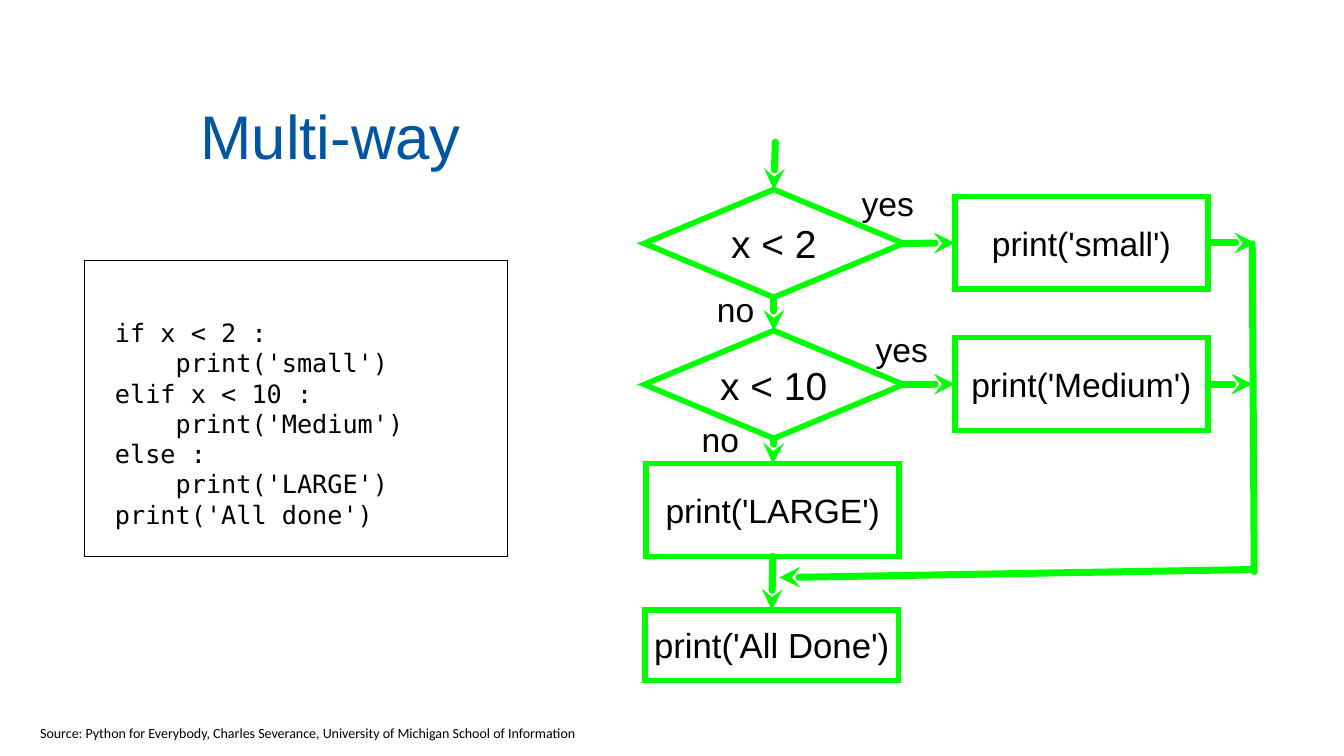
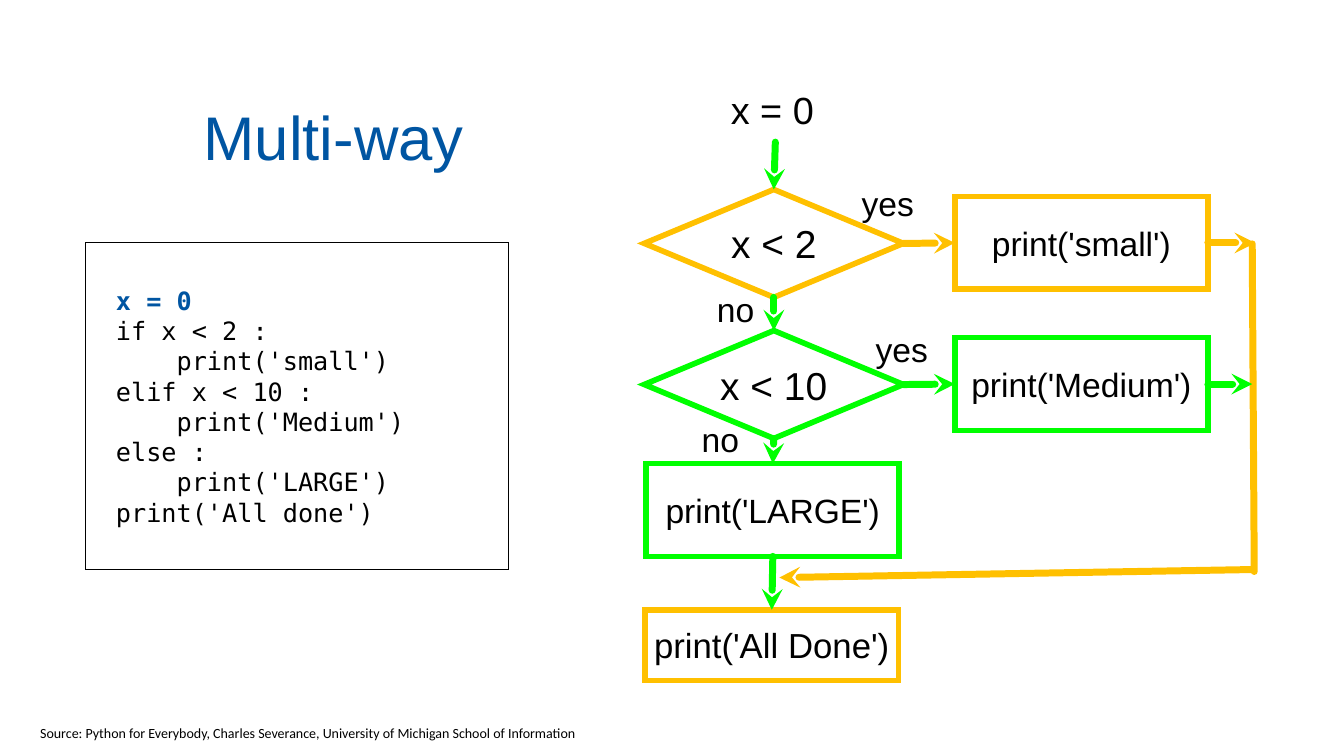
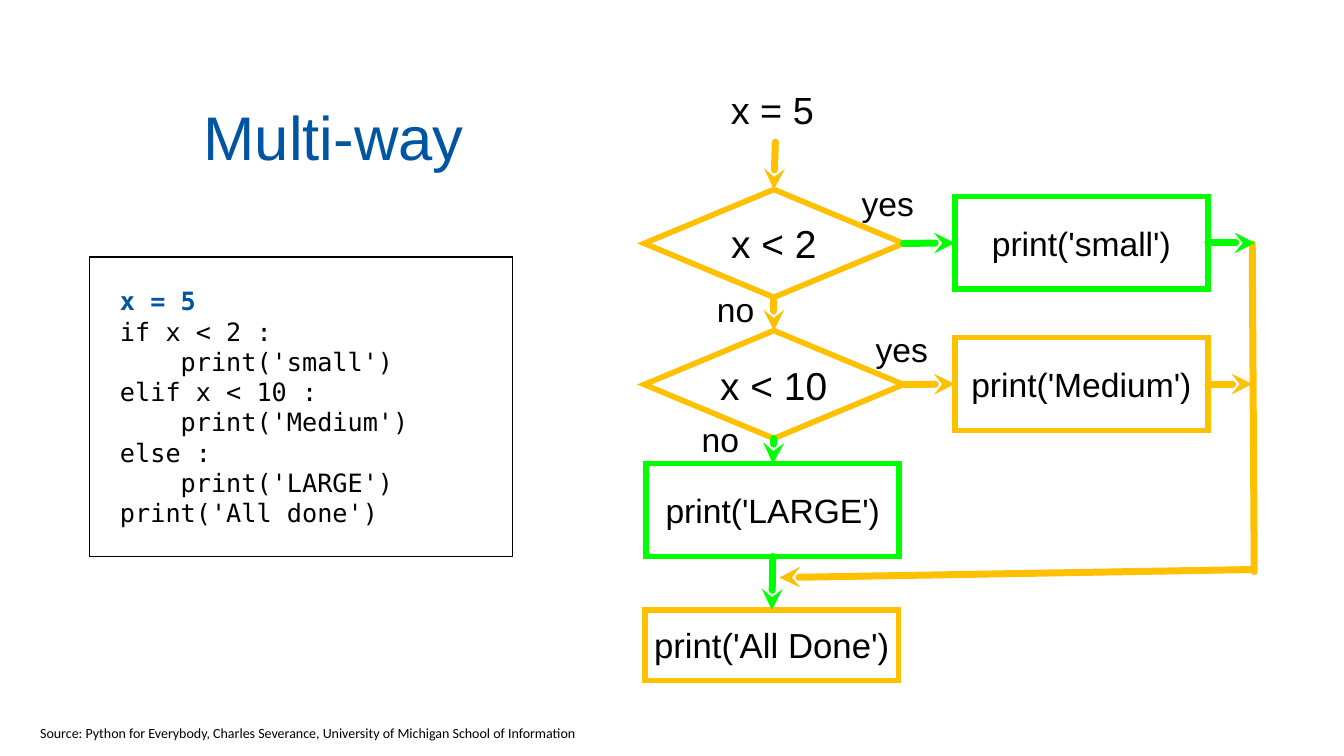
from dataclasses import dataclass
from typing import NamedTuple

from lxml.etree import SubElement
from pptx import Presentation
from pptx.dml.color import RGBColor
from pptx.enum.shapes import MSO_CONNECTOR, MSO_SHAPE
from pptx.enum.text import MSO_ANCHOR, MSO_AUTO_SIZE, PP_ALIGN
from pptx.oxml.ns import qn
from pptx.util import Inches, Pt


# Theme
@dataclass(frozen=True)
class Theme:
    ink: str = "000000"
    accent: str = "0055A2"
    idle: str = "00FF00"
    taken: str = "FFC000"
    font: str = "Arial"
    code_font: str = "DejaVu Sans Mono"
    source_font: str = "Calibri"
    title_size: float = 44
    check_size: float = 27.8
    value_size: float = 27
    done_size: float = 24.8
    step_size: float = 24
    code_size: float = 18
    source_size: float = 10
    frame_line: float = 0.75
    node_line: float = 4
    arrow_line: float = 5


THEME = Theme()
TOP, LEFT, BOTTOM, RIGHT = range(4)


# Content
class Box(NamedTuple):
    left: float
    top: float
    width: float
    height: float


class Node(NamedTuple):
    text: str
    box: Box
    size: float = THEME.step_size
    outline: MSO_SHAPE = MSO_SHAPE.RECTANGLE


class Point(NamedTuple):
    x: float
    y: float


class Joint(NamedTuple):
    node: str
    side: int


class Flow(NamedTuple):
    start: Point | Joint
    end: Point | Joint
    arrow: bool = True


class Label(NamedTuple):
    text: str
    box: Box


@dataclass(frozen=True)
class Example:
    title_box: Box
    code_box: Box
    value: str = ""
    taken: frozenset[str] = frozenset()


CHECK_W, CHECK_H = 2.57, 1.07
STEP_W, STEP_H = 2.51, 0.92
LABEL_H = 0.4

NODES = {
    "check 2": Node("x < 2", Box(6.39, 1.88, CHECK_W, CHECK_H),
                    THEME.check_size, MSO_SHAPE.DIAMOND),
    "check 10": Node("x < 10", Box(6.39, 3.28, CHECK_W, CHECK_H),
                     THEME.check_size, MSO_SHAPE.DIAMOND),
    "small": Node("print('small')", Box(9.47, 1.95, STEP_W, STEP_H)),
    "medium": Node("print('Medium')", Box(9.47, 3.35, STEP_W, STEP_H)),
    "large": Node("print('LARGE')", Box(6.41, 4.6, STEP_W, STEP_H)),
    "done": Node("print('All Done')", Box(6.4, 6.05, STEP_W, 0.7), THEME.done_size),
}

FLOWS = {
    "return": Flow(Point(12.42, 2.42), Point(12.44, 5.67), arrow=False),
    "merge": Flow(Point(12.43, 5.65), Point(7.73, 5.73)),
    "entry": Flow(Point(7.69, 1.41), Joint("check 2", TOP)),
    "yes 2": Flow(Joint("check 2", RIGHT), Joint("small", LEFT)),
    "no 2": Flow(Joint("check 2", BOTTOM), Joint("check 10", TOP)),
    "yes 10": Flow(Joint("check 10", RIGHT), Joint("medium", LEFT)),
    "no 10": Flow(Joint("check 10", BOTTOM), Joint("large", TOP)),
    "small exit": Flow(Joint("small", RIGHT), Point(12.45, 2.41)),
    "medium exit": Flow(Joint("medium", RIGHT), Point(12.42, 3.81)),
    "large exit": Flow(Joint("large", BOTTOM), Joint("done", TOP)),
}

LABELS = [
    Label("yes", Box(8.52, 1.81, 0.57, LABEL_H)),
    Label("no", Box(7.1, 2.87, 0.39, LABEL_H)),
    Label("yes", Box(8.63, 3.26, 0.63, LABEL_H)),
    Label("no", Box(6.95, 4.16, 0.39, LABEL_H)),
]

VALUE_BOX = Box(6.24, 0.8, 2.84, 0.57)
SOURCE_BOX = Box(0.3, 7.14, 5.6, 0.27)
SOURCE = ("Source: Python for Everybody, Charles Severance, "
          "University of Michigan School of Information")
CODE = """if x < 2 :
    print('small')
elif x < 10 :
    print('Medium')
else :
    print('LARGE')
print('All done')"""

EXAMPLES = [
    Example(Box(0.92, 0.6, 4.72, 1.47), Box(0.84, 2.58, 4.19, 2.94)),
    Example(Box(0.95, 0.61, 4.72, 1.47), Box(0.85, 2.41, 4.19, 3.24), "x = 0",
            frozenset({"check 2", "yes 2", "small", "small exit",
                       "return", "merge", "done"})),
    Example(Box(0.95, 0.61, 4.72, 1.47), Box(0.89, 2.55, 4.19, 2.97), "x = 5",
            frozenset({"entry", "check 2", "no 2", "check 10", "yes 10", "medium",
                       "medium exit", "return", "merge", "done"})),
]


# Drawing helpers
def inches(box: Box) -> list[Inches]:
    return [Inches(length) for length in box]


def write(frame, text: str, *, size: float, font: str = THEME.font,
          color: str = THEME.ink, align: PP_ALIGN = PP_ALIGN.CENTER,
          anchor: MSO_ANCHOR = MSO_ANCHOR.MIDDLE, wrap: bool = True,
          insets: Box = Box(0, 0, 0, 0)) -> None:
    """Fill a text frame; insets run left, top, right, bottom."""
    frame.text = text
    frame.word_wrap = wrap
    frame.auto_size = MSO_AUTO_SIZE.NONE
    frame.vertical_anchor = anchor
    (frame.margin_left, frame.margin_top,
     frame.margin_right, frame.margin_bottom) = inches(insets)
    for paragraph in frame.paragraphs:
        paragraph.alignment = align
        for run in paragraph.runs:
            run.font.size = Pt(size)
            run.font.name = font
            run.font.color.rgb = RGBColor.from_string(color)


def set_line(line, color: str, width: float):
    line.color.rgb = RGBColor.from_string(color)
    line.width = Pt(width)
    return line._get_or_add_ln()


def add_outline(slide, box: Box, color: str, width: float,
                outline: MSO_SHAPE = MSO_SHAPE.RECTANGLE):
    shape = slide.shapes.add_shape(outline, *inches(box))
    shape.shadow.inherit = False
    shape.fill.background()
    ln = set_line(shape.line, color, width)
    SubElement(ln, qn("a:miter"), lim="800000")
    return shape


def add_label(slide, text: str, box: Box, **text_format) -> None:
    label = slide.shapes.add_textbox(*inches(box))
    write(label.text_frame, text, wrap=False, **text_format)


def add_flow(slide, flow: Flow, nodes: dict, color: str) -> None:
    line = slide.shapes.add_connector(MSO_CONNECTOR.STRAIGHT, 0, 0, 0, 0)
    if isinstance(flow.start, Joint):
        line.begin_connect(nodes[flow.start.node], flow.start.side)
    else:
        line.begin_x, line.begin_y = Inches(flow.start.x), Inches(flow.start.y)
    if isinstance(flow.end, Joint):
        line.end_connect(nodes[flow.end.node], flow.end.side)
    else:
        line.end_x, line.end_y = Inches(flow.end.x), Inches(flow.end.y)
    ln = set_line(line.line, color, THEME.arrow_line)
    ln.set("cap", "rnd")
    if flow.arrow:
        SubElement(ln, qn("a:tailEnd"), type="stealth")
    SubElement(line._element.spPr, qn("a:effectLst"))


# Slide parts
def add_title(slide, box: Box) -> None:
    title = slide.shapes.title
    title.left, title.top, title.width, title.height = inches(box)
    write(title.text_frame, "Multi-way", size=THEME.title_size, color=THEME.accent,
          insets=Box(0.03, 0.03, 0.03, 0.03))


def add_code(slide, example: Example) -> None:
    listing = add_outline(slide, example.code_box, THEME.ink, THEME.frame_line)
    frame = listing.text_frame
    # Without an assignment the code sits one line lower
    top_inset = 0 if example.value else 0.3
    text = f"{example.value}\n{CODE}" if example.value else CODE
    write(frame, text, size=THEME.code_size, font=THEME.code_font,
          align=PP_ALIGN.LEFT, insets=Box(0.3, top_inset, 0, 0))
    if example.value:
        assignment = frame.paragraphs[0].runs[0].font
        assignment.bold = True
        assignment.color.rgb = RGBColor.from_string(THEME.accent)


def add_flowchart(slide, example: Example) -> None:
    def color_of(part: str) -> str:
        return THEME.taken if part in example.taken else THEME.idle

    drawn = {}
    for part, node in NODES.items():
        drawn[part] = add_outline(slide, node.box, color_of(part),
                                  THEME.node_line, node.outline)
        write(drawn[part].text_frame, node.text, size=node.size)
    for part, flow in FLOWS.items():
        add_flow(slide, flow, drawn, color_of(part))
    for label in LABELS:
        add_label(slide, label.text, label.box, size=THEME.step_size)
    if example.value:
        add_label(slide, example.value, VALUE_BOX, size=THEME.value_size)


def main() -> None:
    deck = Presentation()
    deck.slide_width, deck.slide_height = Inches(13.33), Inches(7.5)
    title_only = deck.slide_layouts[5]
    for example in EXAMPLES:
        slide = deck.slides.add_slide(title_only)
        add_title(slide, example.title_box)
        add_code(slide, example)
        add_flowchart(slide, example)
        add_label(slide, SOURCE, SOURCE_BOX, size=THEME.source_size,
                  font=THEME.source_font, align=PP_ALIGN.LEFT,
                  anchor=MSO_ANCHOR.TOP, insets=Box(0.1, 0.05, 0.1, 0.05))
    deck.save("out.pptx")


if __name__ == "__main__":
    main()
